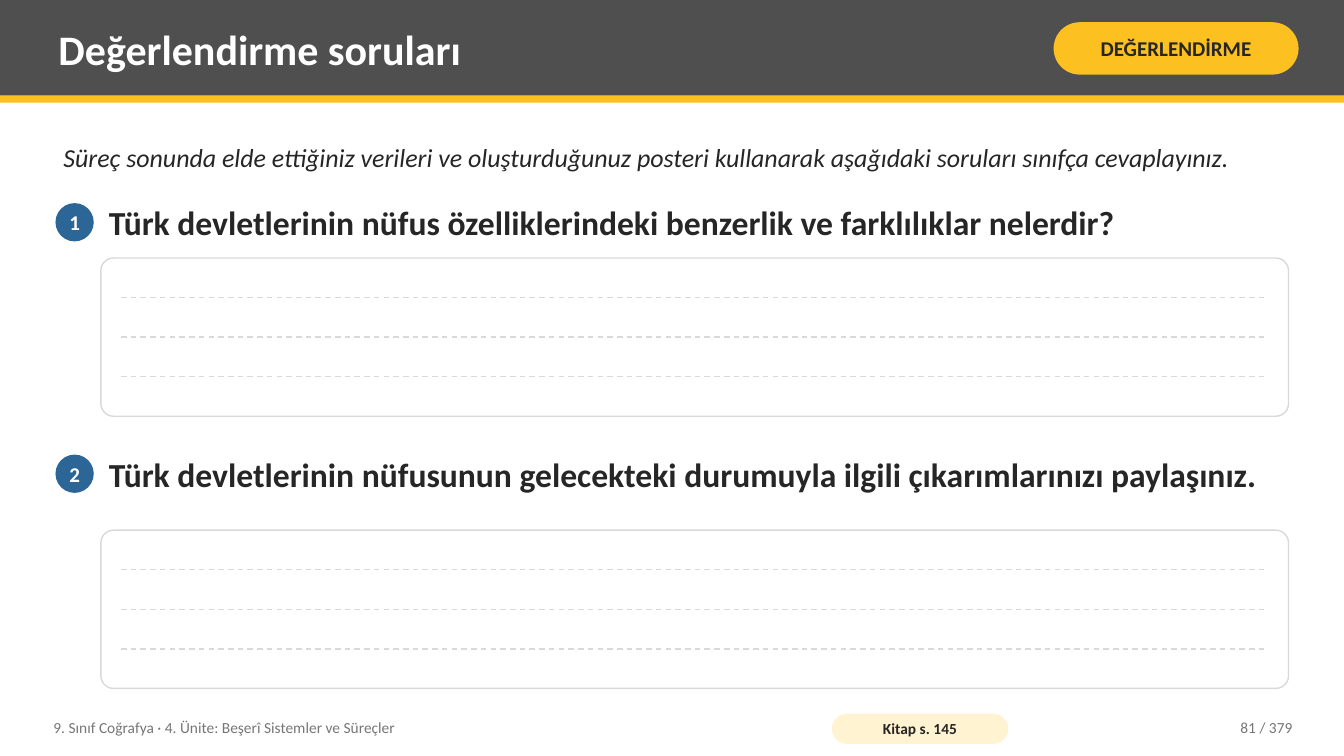
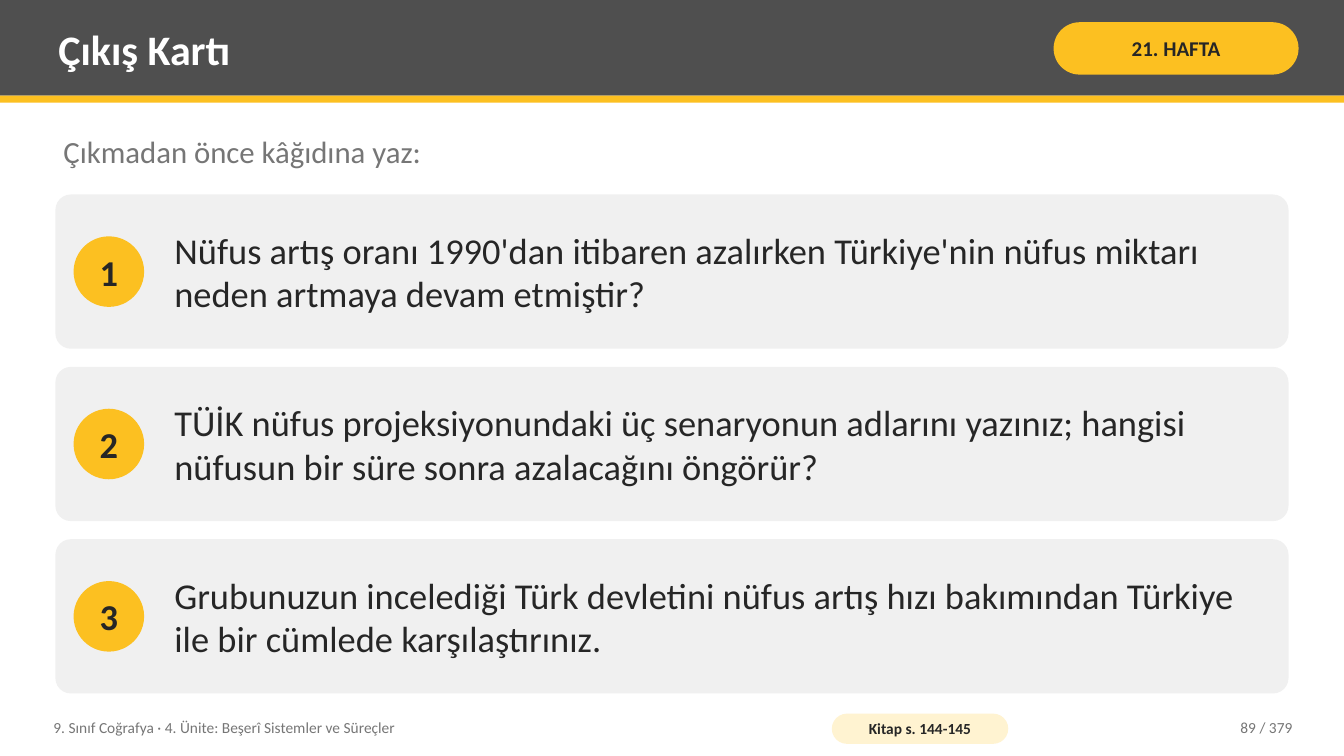
from lxml.etree import SubElement
from pptx import Presentation
from pptx.dml.color import RGBColor
from pptx.enum.dml import MSO_LINE_DASH_STYLE as Dash
from pptx.enum.shapes import MSO_CONNECTOR as Connector, MSO_SHAPE as Shape
from pptx.enum.text import MSO_ANCHOR as Anchor, MSO_AUTO_SIZE as AutoSize, PP_ALIGN as Align
from pptx.oxml.ns import qn
from pptx.util import Inches, Pt

FONT = "Calibri"
COLORS = {
    "band": "4F4F4F", "accent": "FCC021", "pale": "FFF3D1", "blue": "2C6696",
    "ink": "262626", "muted": "767676", "rule": "D9D9D9", "card": "F0F0F0",
    "white": "FFFFFF",
}
COURSE = "9. Sınıf Coğrafya · 4. Ünite: Beşerî Sistemler ve Süreçler"
PAGE_COUNT = 379
TEXT_INSETS = (0.08, 0.04)


def color(name):
    return RGBColor.from_string(COLORS[name])


def write(box, text, size=11, fill="ink", bold=False, italic=False,
          align=Align.LEFT, anchor=Anchor.MIDDLE, insets=TEXT_INSETS, wrap=True):
    frame = box.text_frame
    frame.auto_size = AutoSize.NONE
    frame.word_wrap = wrap
    frame.vertical_anchor = anchor
    frame.margin_left = frame.margin_right = Inches(insets[0])
    frame.margin_top = frame.margin_bottom = Inches(insets[1])
    para = frame.paragraphs[0]
    para.alignment = align
    span = para.add_run()
    span.text = text
    font = span.font
    font.name, font.size, font.bold, font.italic = FONT, Pt(size), bold, italic
    font.color.rgb = color(fill)


class LessonDeck:
    def __init__(self):
        self.deck = Presentation()
        self.deck.slide_width = Inches(13.33)
        self.deck.slide_height = Inches(7.5)
        self.page = None

    def start_page(self, title, tag, source, number):
        self.page = self.deck.slides.add_slide(self.deck.slide_layouts[5])
        self.shape(Shape.RECTANGLE, 0, 0, 13.33, 0.95, "band")
        stripe = self.shape(Shape.RECTANGLE, 0, 0.95, 13.33, 0.07, "accent")
        self.title(title, stripe)
        self.pill(tag, 10.45, 0.22, 2.43, 0.52, "accent", 15, (0.05, 0.02))
        self.text(COURSE, 0.45, 7.04, 7.6, 0.36, fill="muted")
        self.pill(source, 8.25, 7.08, 1.75, 0.3, "pale", 11, (0.04, 0))
        self.text(f"{number} / {PAGE_COUNT}", 11.3, 7.04, 1.6, 0.36,
                  fill="muted", align=Align.RIGHT)

    def title(self, text, stripe):
        box = self.page.shapes.title
        box.left, box.top = Inches(0.5), Inches(0.07)
        box.width, box.height = Inches(9.75), Inches(0.82)
        write(box, text, size=30, fill="white", bold=True)
        stripe.element.addnext(box.element)

    def shape(self, kind, left, top, width, height, fill, line=None, corner=None):
        shape = self.page.shapes.add_shape(
            kind, Inches(left), Inches(top), Inches(width), Inches(height))
        shape.shadow.inherit = False
        shape.fill.solid()
        shape.fill.fore_color.rgb = color(fill)
        if line:
            shape.line.color.rgb = color(line)
            shape.line.width = Pt(1)
        else:
            shape.line.fill.background()
        if corner is not None:
            shape.adjustments[0] = corner
        return shape

    def text(self, text, left, top, width, height, **style):
        box = self.page.shapes.add_textbox(
            Inches(left), Inches(top), Inches(width), Inches(height))
        write(box, text, **style)

    def pill(self, text, left, top, width, height, fill, size, insets):
        pill = self.shape(Shape.ROUNDED_RECTANGLE, left, top, width, height, fill, corner=0.5)
        write(pill, text, size=size, bold=True, align=Align.CENTER, insets=insets)

    def badge(self, number, left, middle, diameter, fill, size, ink):
        badge = self.shape(Shape.OVAL, left, middle - diameter / 2, diameter, diameter, fill)
        write(badge, str(number), size=size, fill=ink, bold=True,
              align=Align.CENTER, insets=(0, 0), wrap=False)

    def dashed_line(self, left, right, top):
        line = self.page.shapes.add_connector(
            Connector.STRAIGHT, Inches(left), Inches(top), Inches(right), Inches(top))
        line.line.color.rgb = color("rule")
        line.line.width = Pt(1)
        line.line.dash_style = Dash.DASH
        SubElement(line.element.spPr, qn("a:effectLst"))

    def question(self, number, text, top, height):
        self.badge(number, 0.55, top + height / 2, 0.38, "blue", 15, "white")
        self.text(text, 1, top, 11.78, height, size=24, bold=True)
        answer_top, answer_height, rows = top + height + 0.08, 1.57, 4
        self.shape(Shape.ROUNDED_RECTANGLE, 1, answer_top, 11.78, answer_height,
                   "white", line="rule", corner=0.08)
        for row in range(1, rows):
            self.dashed_line(1.2, 12.58, answer_top + row * answer_height / rows)

    def card(self, number, text, top, height):
        self.shape(Shape.ROUNDED_RECTANGLE, 0.55, top, 12.23, height, "card", corner=0.1)
        self.badge(number, 0.73, top + height / 2, 0.7, "accent", 26, "ink")
        self.text(text, 1.65, top, 10.93, height, size=26)


def main():
    lesson = LessonDeck()

    lesson.start_page("Değerlendirme soruları", "DEĞERLENDİRME", "Kitap s. 145", 81)
    lesson.text("Süreç sonunda elde ettiğiniz verileri ve oluşturduğunuz posteri kullanarak "
                "aşağıdaki soruları sınıfça cevaplayınız.",
                0.55, 1.28, 12.23, 0.55, size=18.5, italic=True)
    lesson.question(
        1, "Türk devletlerinin nüfus özelliklerindeki benzerlik ve farklılıklar nelerdir?",
        1.93, 0.55)
    lesson.question(
        2, "Türk devletlerinin nüfusunun gelecekteki durumuyla ilgili çıkarımlarınızı paylaşınız.",
        4.22, 0.96)

    lesson.start_page("Çıkış Kartı", "21. HAFTA", "Kitap s. 144-145", 89)
    lesson.text("Çıkmadan önce kâğıdına yaz:", 0.55, 1.28, 12.23, 0.55,
                size=22, fill="muted", anchor=Anchor.TOP)
    prompts = [
        "Nüfus artış oranı 1990'dan itibaren azalırken Türkiye'nin nüfus miktarı "
        "neden artmaya devam etmiştir?",
        "TÜİK nüfus projeksiyonundaki üç senaryonun adlarını yazınız; hangisi "
        "nüfusun bir süre sonra azalacağını öngörür?",
        "Grubunuzun incelediği Türk devletini nüfus artış hızı bakımından Türkiye "
        "ile bir cümlede karşılaştırınız.",
    ]
    card_height, gap = 1.53, 0.18
    for index, prompt in enumerate(prompts):
        lesson.card(index + 1, prompt, 1.93 + index * (card_height + gap), card_height)

    lesson.deck.save("out.pptx")


if __name__ == "__main__":
    main()
